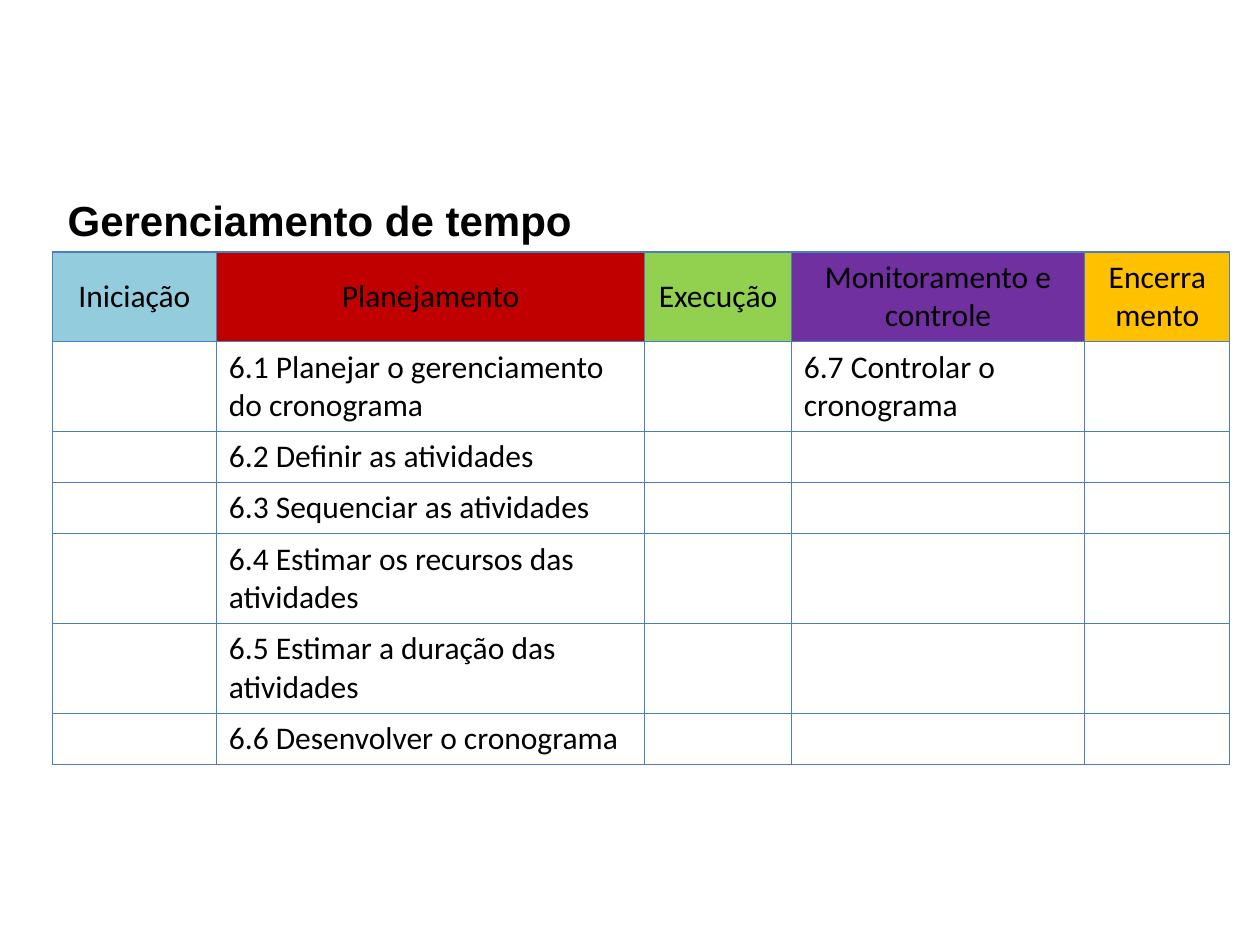
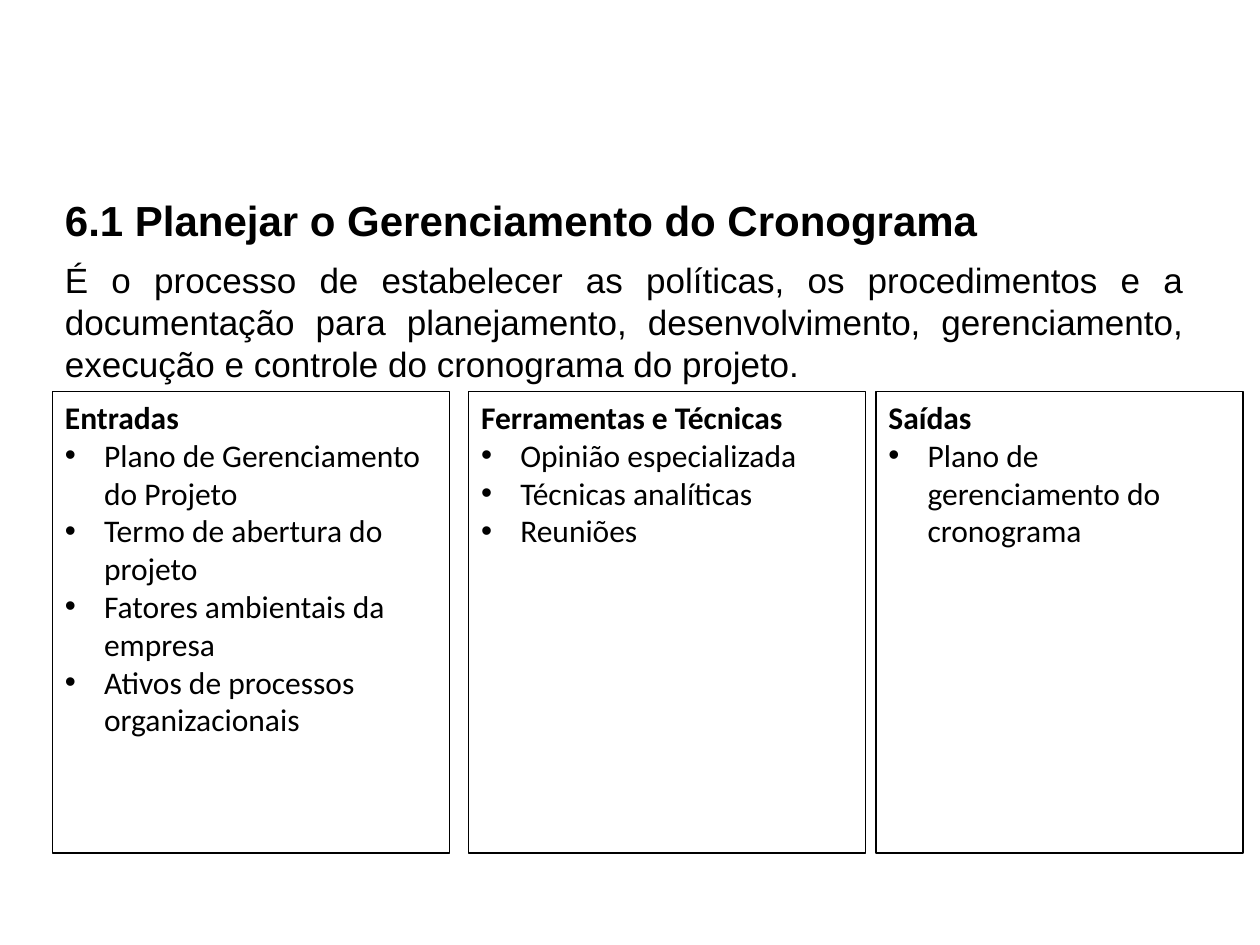
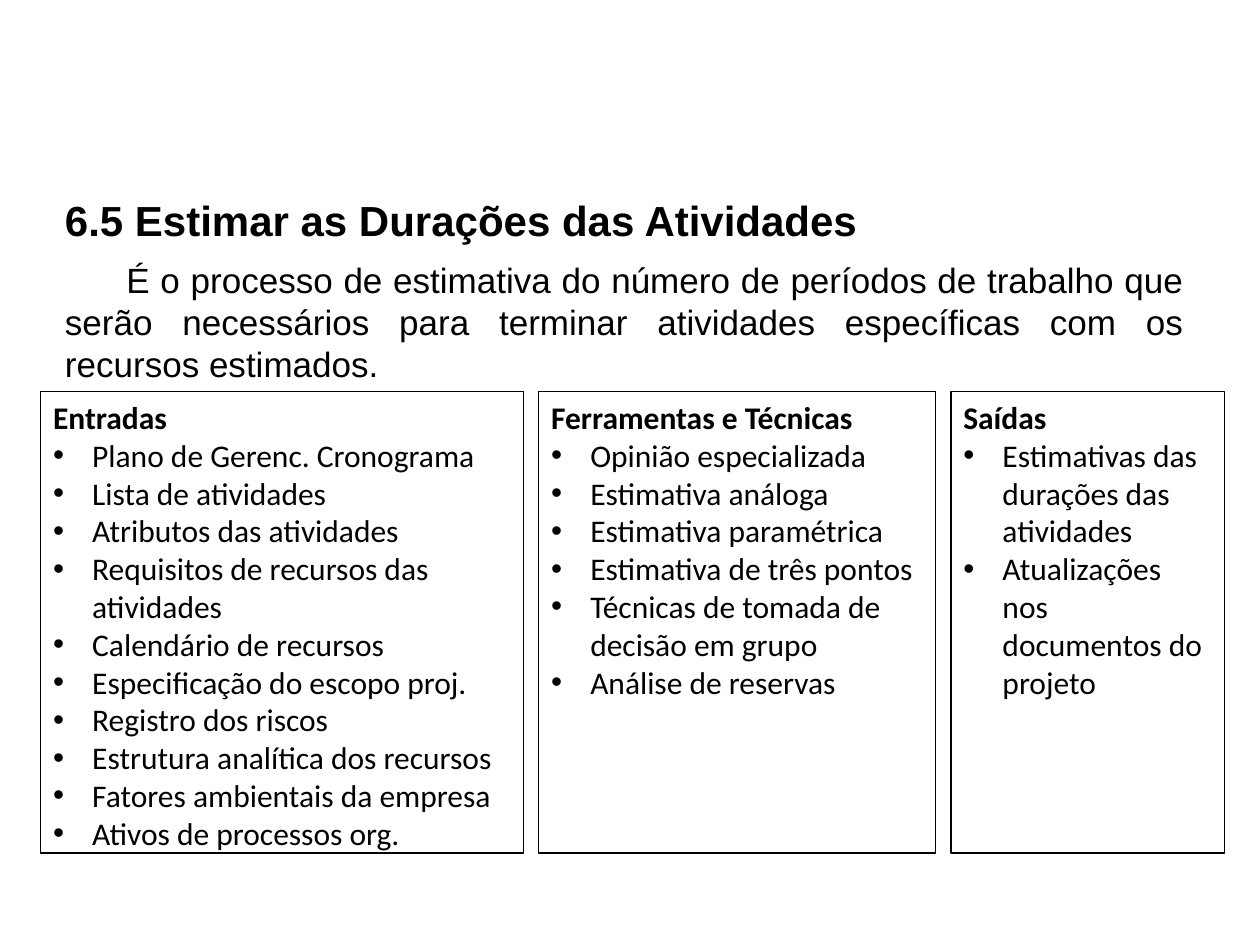
from dataclasses import dataclass

import pptx
import pptx.dml.color
import pptx.enum.shapes
import pptx.enum.text
import pptx.oxml
import pptx.oxml.ns
import pptx.presentation
import pptx.slide
import pptx.table
import pptx.text.text
import pptx.util

Cm = pptx.util.Cm
Pt = pptx.util.Pt
Align = pptx.enum.text.PP_ALIGN
Anchor = pptx.enum.text.MSO_ANCHOR
AutoSize = pptx.enum.text.MSO_AUTO_SIZE


@dataclass(frozen=True)
class Theme:
    ink: str = "000000"
    paper: str = "FFFFFF"
    grid: str = "4B7EBC"
    heading_font: str = "Arial"
    content_font: str = "Calibri"
    title_size: int = 24
    body_size: int = 20
    content_size: int = 18
    line_width: float = 0.75


@dataclass(frozen=True)
class ProcessGroup:
    name: str
    color: str
    width: float
    processes: tuple[str, ...] = ()


@dataclass(frozen=True)
class Panel:
    heading: str
    left: float
    width: float
    items: tuple[str, ...]


@dataclass(frozen=True)
class ProcessPage:
    title: str
    description: str
    first_line_indent: float
    panels: tuple[Panel, ...]


THEME = Theme()
MARGIN = 1.06
TITLE_TOP = 3.8
SHORT_TITLE_WIDTH = 10.77
TEXT_WIDTH = 23.06
CONTENT_TOP = 5.08
PANEL_TOP = 7.9
PANEL_HEIGHT = 9.3
ONE_LINE_ROW = 1.03
TWO_LINE_ROW = 1.81
ROW_HEIGHTS = (
    TWO_LINE_ROW, TWO_LINE_ROW, ONE_LINE_ROW, ONE_LINE_ROW,
    TWO_LINE_ROW, TWO_LINE_ROW, ONE_LINE_ROW,
)
BULLET_INDENT = 0.79

GROUPS = (
    ProcessGroup("Iniciação", "93CDDD", 3.3),
    ProcessGroup("Planejamento", "C00000", 8.64, (
        "6.1 Planejar o gerenciamento do cronograma",
        "6.2 Definir as atividades",
        "6.3 Sequenciar as atividades",
        "6.4 Estimar os recursos das atividades",
        "6.5 Estimar a duração das atividades",
        "6.6 Desenvolver o cronograma",
    )),
    ProcessGroup("Execução", "92D050", 2.95),
    ProcessGroup("Monitoramento e controle", "7030A0", 5.92, ("6.7 Controlar o cronograma",)),
    ProcessGroup("Encerramento", "FFC000", 2.92),
)

PAGES = (
    ProcessPage(
        "6.1 Planejar o Gerenciamento do Cronograma",
        "É o processo de estabelecer as políticas, os procedimentos e a documentação para "
        "planejamento, desenvolvimento, gerenciamento, execução e controle do cronograma do projeto.",
        0,
        (
            Panel("Entradas", 1.06, 8, (
                "Plano de Gerenciamento do Projeto",
                "Termo de abertura do projeto",
                "Fatores ambientais da empresa",
                "Ativos de processos organizacionais",
            )),
            Panel("Ferramentas e Técnicas", 9.45, 8, (
                "Opinião especializada",
                "Técnicas analíticas",
                "Reuniões",
            )),
            Panel("Saídas", 17.66, 7.4, ("Plano de gerenciamento do cronograma",)),
        ),
    ),
    ProcessPage(
        "6.5 Estimar as Durações das Atividades",
        "É o processo de estimativa do número de períodos de trabalho que serão necessários "
        "para terminar atividades específicas com os recursos estimados.",
        1.24,
        (
            Panel("Entradas", 0.82, 9.73, (
                "Plano de Gerenc. Cronograma",
                "Lista de atividades",
                "Atributos das atividades",
                "Requisitos de recursos das atividades",
                "Calendário de recursos",
                "Especificação do escopo proj.",
                "Registro dos riscos",
                "Estrutura analítica dos recursos",
                "Fatores ambientais da empresa",
                "Ativos de processos org.",
            )),
            Panel("Ferramentas e Técnicas", 10.86, 8, (
                "Opinião especializada",
                "Estimativa análoga",
                "Estimativa paramétrica",
                "Estimativa de três pontos",
                "Técnicas de tomada de decisão em grupo",
                "Análise de reservas",
            )),
            Panel("Saídas", 19.17, 5.52, (
                "Estimativas das durações das atividades",
                "Atualizações nos documentos do projeto",
            )),
        ),
    ),
)


def rgb(color: str) -> pptx.dml.color.RGBColor:
    return pptx.dml.color.RGBColor.from_string(color)


def write(paragraph: pptx.text.text._Paragraph, text: str, font_name: str, size: int,
          bold: bool = False, alignment: Align = Align.LEFT) -> None:
    paragraph.text = text
    paragraph.alignment = alignment
    font = paragraph.font
    font.name = font_name
    font.size = Pt(size)
    font.bold = bold
    font.color.rgb = rgb(THEME.ink)


def add_bullet(paragraph: pptx.text.text._Paragraph) -> None:
    properties = paragraph._p.get_or_add_pPr()
    properties.set("marL", str(Cm(BULLET_INDENT)))
    properties.set("indent", str(-Cm(BULLET_INDENT)))
    namespace = pptx.oxml.ns.nsdecls("a")
    properties.append(pptx.oxml.parse_xml(f'<a:buFont {namespace} typeface="Arial"/>'))
    properties.append(pptx.oxml.parse_xml(f'<a:buChar {namespace} char="•"/>'))


def add_title(slide: pptx.slide.Slide, text: str, width: float = TEXT_WIDTH,
              alignment: Align = Align.LEFT) -> None:
    box = slide.shapes.add_textbox(Cm(MARGIN), Cm(TITLE_TOP), Cm(width), Cm(1.27))
    box.text_frame.word_wrap = True
    write(box.text_frame.paragraphs[0], text, THEME.heading_font, THEME.title_size, True, alignment)


def add_description(slide: pptx.slide.Slide, page: ProcessPage) -> None:
    box = slide.shapes.add_textbox(Cm(MARGIN), Cm(CONTENT_TOP), Cm(TEXT_WIDTH), Cm(2.82))
    box.text_frame.word_wrap = True
    box.text_frame.auto_size = AutoSize.SHAPE_TO_FIT_TEXT
    paragraph = box.text_frame.paragraphs[0]
    paragraph._p.get_or_add_pPr().set("indent", str(Cm(page.first_line_indent)))
    write(paragraph, page.description, THEME.heading_font, THEME.body_size, alignment=Align.JUSTIFY)


def add_panel(slide: pptx.slide.Slide, panel: Panel) -> None:
    shape = slide.shapes.add_shape(
        pptx.enum.shapes.MSO_SHAPE.RECTANGLE,
        Cm(panel.left), Cm(PANEL_TOP), Cm(panel.width), Cm(PANEL_HEIGHT),
    )
    shape.shadow.inherit = False
    shape.fill.background()
    shape.line.color.rgb = rgb(THEME.ink)
    shape.line.width = Pt(THEME.line_width)
    frame = shape.text_frame
    frame.word_wrap = True
    frame.vertical_anchor = Anchor.TOP
    write(frame.paragraphs[0], panel.heading, THEME.content_font, THEME.content_size, True)
    for item in panel.items:
        paragraph = frame.add_paragraph()
        add_bullet(paragraph)
        write(paragraph, item, THEME.content_font, THEME.content_size)


def style_cell(cell: pptx.table._Cell, fill: str) -> None:
    properties = cell._tc.get_or_add_tcPr()
    for side in ("lnL", "lnR", "lnT", "lnB"):
        properties.append(pptx.oxml.parse_xml(
            f'<a:{side} {pptx.oxml.ns.nsdecls("a")} w="{Pt(THEME.line_width)}">'
            f'<a:solidFill><a:srgbClr val="{THEME.grid}"/></a:solidFill></a:{side}>'
        ))
    cell.fill.solid()
    cell.fill.fore_color.rgb = rgb(fill)


def add_process_table(slide: pptx.slide.Slide) -> None:
    width = sum(group.width for group in GROUPS)
    table = slide.shapes.add_table(
        len(ROW_HEIGHTS), len(GROUPS),
        Cm(MARGIN), Cm(CONTENT_TOP), Cm(width), Cm(sum(ROW_HEIGHTS)),
    ).table
    table.first_row = False
    table.horz_banding = False
    for row, height in enumerate(ROW_HEIGHTS):
        table.rows[row].height = Cm(height)
    for column, group in enumerate(GROUPS):
        table.columns[column].width = Cm(group.width)
        texts = (group.name, *group.processes)
        for row in range(len(ROW_HEIGHTS)):
            is_header = row == 0
            cell = table.cell(row, column)
            style_cell(cell, group.color if is_header else THEME.paper)
            cell.vertical_anchor = Anchor.MIDDLE if is_header else Anchor.TOP
            write(
                cell.text_frame.paragraphs[0], texts[row] if row < len(texts) else "",
                THEME.content_font, THEME.content_size,
                alignment=Align.CENTER if is_header else Align.LEFT,
            )


def add_slide(presentation: pptx.presentation.Presentation) -> pptx.slide.Slide:
    return presentation.slides.add_slide(presentation.slide_layouts[6])


def main() -> None:
    presentation = pptx.Presentation()
    presentation.slide_width = Cm(25.4)
    presentation.slide_height = Cm(19.05)

    overview = add_slide(presentation)
    add_title(overview, "Gerenciamento de tempo", SHORT_TITLE_WIDTH, Align.CENTER)
    add_process_table(overview)

    for page in PAGES:
        slide = add_slide(presentation)
        add_description(slide, page)
        add_title(slide, page.title)
        for panel in page.panels:
            add_panel(slide, panel)

    presentation.save("out.pptx")


if __name__ == "__main__":
    main()
